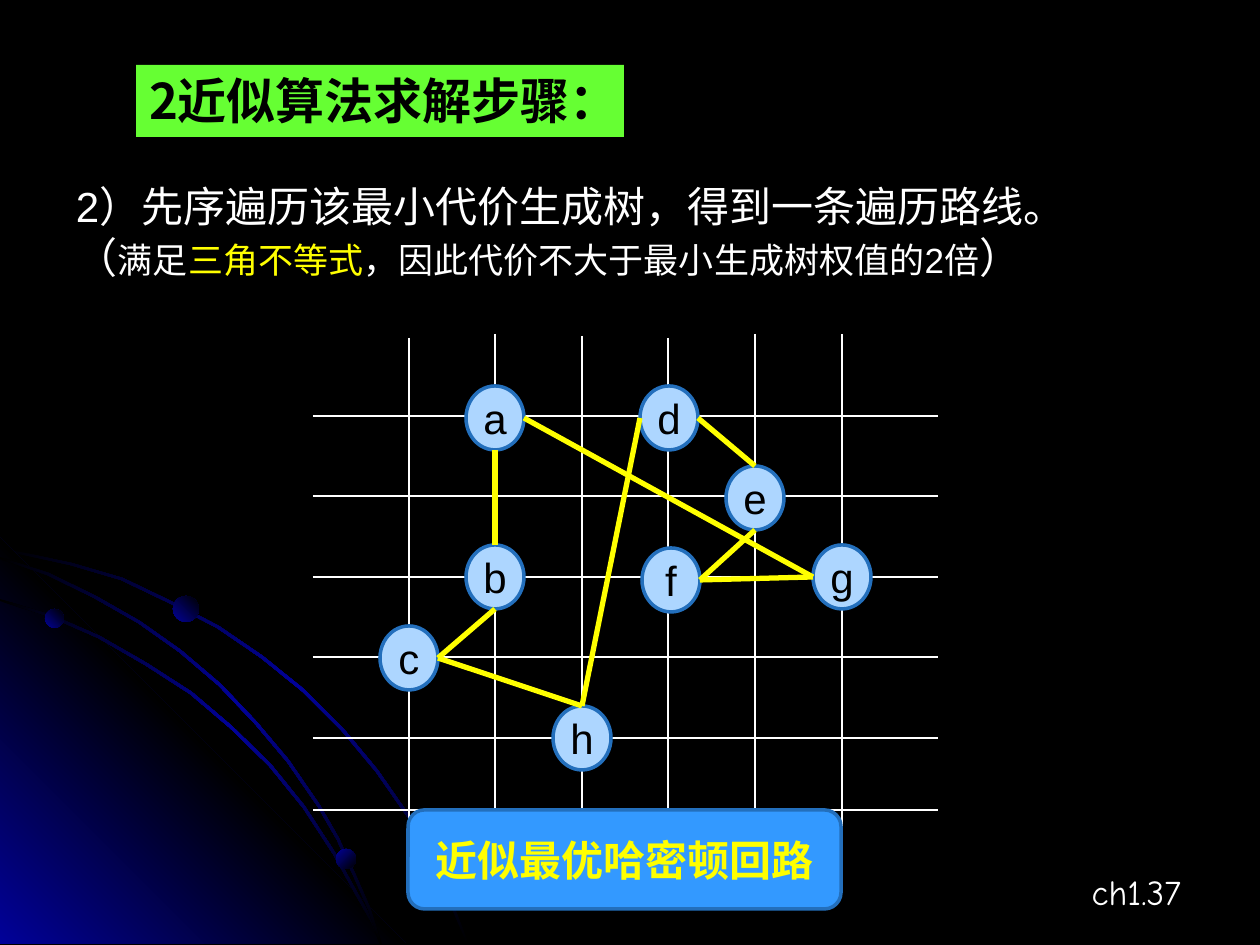
from copy import deepcopy
from lxml.etree import SubElement as Sub
from pptx import Presentation
from pptx.dml.color import RGBColor
from pptx.enum.shapes import MSO_CONNECTOR as Link, MSO_SHAPE as Kind
from pptx.enum.text import MSO_ANCHOR as Anchor, PP_ALIGN as Align
from pptx.oxml.ns import qn
from pptx.util import Pt

PX = 7257
WIDE, HIGH = 1260, 945
HAN = "Noto Sans CJK SC"
rgb = RGBColor.from_string

deck = Presentation()
deck.slide_width, deck.slide_height = WIDE * PX, HIGH * PX
slide = deck.slides.add_slide(deck.slide_layouts[6])
slide.background.fill.solid()
slide.background.fill.fore_color.rgb = rgb("000000")
shapes = slide.shapes


def write(shape, rows, font="Arial", bold=False, align=Align.LEFT,
          anchor=Anchor.TOP, pad=(13, 6)):
    frame = shape.text_frame
    form = {"word_wrap": True, "vertical_anchor": anchor,
            "margin_left": pad[0] * PX, "margin_right": pad[0] * PX,
            "margin_top": pad[1] * PX, "margin_bottom": pad[1] * PX}
    for key, value in form.items():
        setattr(frame, key, value)
    for i, row in enumerate(rows):
        para = frame.add_paragraph() if i else frame.paragraphs[0]
        para.alignment = align
        for text, size, color in row:
            run = para.add_run()
            run.text = text
            for key, value in {"size": Pt(size), "name": font, "bold": bold}.items():
                setattr(run.font, key, value)
            run.font.color.rgb = rgb(color)
            props = run._r.get_or_add_rPr()
            props.set("lang", "zh-CN")
            Sub(props, qn("a:ea"), typeface=HAN)


def wire(start, end, color, width):
    x, y, u, v = (n * PX for n in (*start, *end))
    line = shapes.add_connector(Link.STRAIGHT, x, y, u, v)
    line.line.color.rgb = rgb(color)
    line.line.width = Pt(width)
    Sub(line._element.spPr, qn("a:effectLst"))


arcs = [
    [(0, 548), (35, 555), (72, 563), (123, 578), (171, 601), (219, 626),
     (263, 656), (305, 690), (343, 728), (378, 770), (410, 816), (427, 848),
     (444, 879), (456, 911), (469, 944)],
    [(0, 599), (52, 615), (100, 636), (147, 663), (192, 692), (232, 726),
     (271, 764), (305, 806), (335, 852), (360, 897), (373, 920), (382, 944)],
    [(0, 557), (49, 573), (96, 596), (140, 621), (181, 650), (221, 684),
     (257, 722), (289, 760), (320, 805), (339, 838), (355, 873), (370, 907),
     (382, 944)],
]
bands = [arc + [(max(0, x - 2), min(944, y + 2)) for x, y in reversed(arc)]
         for arc in arcs]
wedge = [(0, 538), (406, 944), (0, 944)]
glow = ["000000", "010199", "000000"]
dim = ["010199", "000000", "010199"]
tints = []
for dots, angle, stops in [(bands[0], 315, glow), (wedge, 45, dim),
                           (bands[1], 315, glow), (bands[2], 315, glow)]:
    pen = shapes.build_freeform(*dots[0], scale=PX)
    pen.add_line_segments(dots[1:], close=True)
    tints.append((pen.convert_to_shape(), angle, stops))
for x, y, size, angle in [(45, 609, 19, 45), (336, 849, 20, 315), (173, 596, 26, 45)]:
    orb = shapes.add_shape(Kind.OVAL, x * PX, y * PX, size * PX, size * PX)
    tints.append((orb, angle, dim[:2]))
for shape, angle, stops in tints:
    shape.shadow.inherit = False
    shape.line.fill.background()
    shape.fill.gradient()
    shape.fill.gradient_angle = angle
    parts = shape._element.spPr.find(qn("a:gradFill")).find(qn("a:gsLst"))
    if len(stops) > 2:
        parts.append(deepcopy(parts[-1]))
    for i, (stop, color) in enumerate(zip(shape.fill.gradient_stops, stops)):
        stop.position = i / (len(stops) - 1)
        stop.color.rgb = rgb(color)

page = shapes.add_textbox(907 * PX, 864 * PX, 287 * PX, 55 * PX)
write(page, [[("ch1.37", 20, "FFFFFF")]], font="Comic Neue", align=Align.RIGHT)

for y in [416 + 161 * i // 2 for i in range(5)] + [810]:
    wire((313, y), (938, y), "FFFFFF", 1.5)
for i, top in enumerate([338, 334, 336, 338, 334, 334]):
    x = 409 + 433 * i // 5
    wire((x, top), (x, 891), "FFFFFF", 1.5)

nodes = {"a": (495, 418), "d": (669, 418), "b": (495, 577), "c": (409, 658),
         "h": (582, 738), "e": (755, 498), "f": (671, 580), "g": (842, 577)}
DX, DY = 29, 32
for name, (x, y) in nodes.items():
    node = shapes.add_shape(Kind.OVAL, (x - DX) * PX, (y - DY) * PX,
                            2 * DX * PX, 2 * DY * PX)
    node.shadow.inherit = False
    node.fill.solid()
    node.fill.fore_color.rgb = rgb("ADD6FF")
    node.line.color.rgb = rgb("236FBC")
    node.line.width = Pt(2)
    write(node, [[(name, 24, "000000")]], align=Align.CENTER,
          anchor=Anchor.MIDDLE, pad=(0, 0))

sides = {"top": (0, -DY), "left": (-DX, 0), "low": (0, DY), "right": (DX, 0)}
tour = [("h", "top", "d", "left"), ("a", "low", "b", "top"),
        ("d", "right", "e", "top"), ("e", "low", "f", "right"),
        ("f", "right", "g", "left"), ("b", "low", "c", "right"),
        ("c", "right", "h", "top"), ("a", "right", "g", "left")]
for one, out, two, into in tour:
    ends = [[p + q for p, q in zip(nodes[name], sides[side])]
            for name, side in ((one, out), (two, into))]
    wire(*ends, "FFFF00", 3)

body = shapes.add_textbox(63 * PX, 175 * PX, 1084 * PX, 113 * PX)
write(body, [
    [("2）先序遍历该最小代价生成树，得到一条遍历路线。", 24, "FFFFFF")],
    [("（", 24, "FFFFFF"), ("满足", 20, "FFFFFF"), ("三角不等式", 20, "FFFF00"),
     ("，因此代价不大于最小生成树权值的2倍", 20, "FFFFFF"), ("）", 24, "FFFFFF")],
])

label = shapes.add_shape(Kind.ROUNDED_RECTANGLE, 408 * PX, 810 * PX, 433 * PX, 99 * PX)
title = shapes.add_shape(Kind.RECTANGLE, 136 * PX, 65 * PX, 488 * PX, 72 * PX)
for box, color in ((label, "3399FF"), (title, "66FF33")):
    box.shadow.inherit = False
    box.fill.solid()
    box.fill.fore_color.rgb = rgb(color)
label.line.color.rgb = rgb("236FBC")
label.line.width = Pt(2)
title.line.fill.background()
write(label, [[("近似最优哈密顿回路", 24, "FFFF00")]], bold=True,
      align=Align.CENTER, anchor=Anchor.MIDDLE)
write(title, [[("2近似算法求解步骤：", 28, "000000")]], font=HAN, bold=True)

deck.save("out.pptx")
